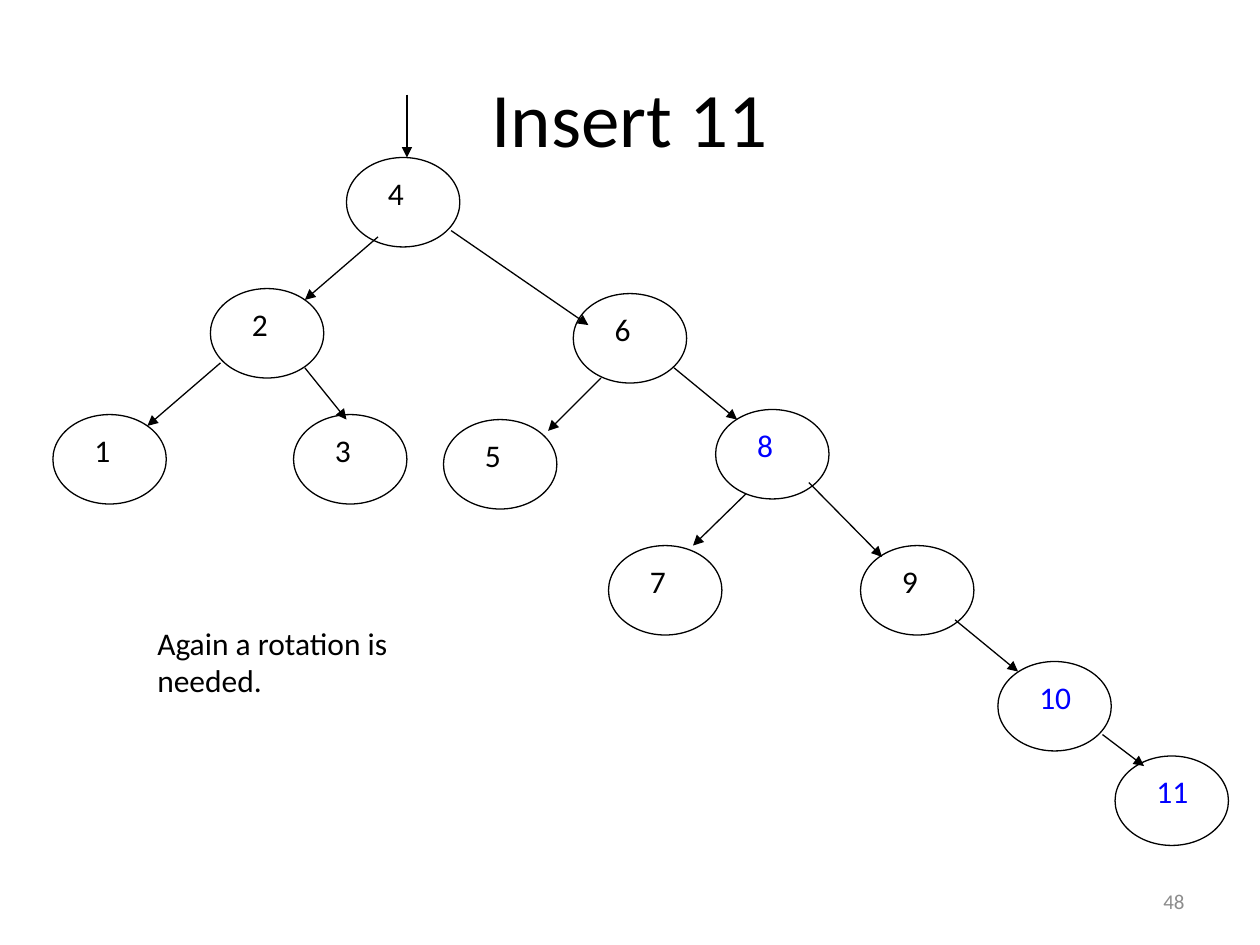
from pptx import Presentation
from pptx.dml.color import RGBColor
from pptx.enum.shapes import MSO_CONNECTOR, MSO_SHAPE
from pptx.enum.text import MSO_ANCHOR, PP_ALIGN
from pptx.oxml.ns import qn
from pptx.util import Inches, Pt
from lxml.etree import SubElement

COLORS = {"ink": "000000", "new": "0000FF", "number": "8C8C8C"}
NODE_WIDTH, NODE_HEIGHT = 0.9, 0.71

# key: (left, top, color)
NODES = {
    4: (2.75, 1.25, "ink"),
    2: (1.67, 2.29, "ink"),
    3: (2.33, 3.29, "ink"),
    6: (4.55, 2.33, "ink"),
    5: (3.52, 3.33, "ink"),
    8: (5.68, 3.25, "new"),
    1: (0.42, 3.29, "ink"),
    7: (4.83, 4.33, "ink"),
    9: (6.83, 4.33, "ink"),
    10: (7.92, 5.25, "new"),
    11: (8.85, 6, "new"),
}

# start x, start y, end x, end y
ARROWS = [
    (3.23, 0.75, 3.23, 1.25),  # root pointer
    (3, 1.88, 2.42, 2.38),
    (3.58, 1.83, 4.67, 2.58),
    (4.77, 3, 4.35, 3.42),
    (5.35, 2.92, 5.85, 3.33),
    (1.75, 2.88, 1.17, 3.38),
    (2.42, 2.92, 2.75, 3.33),
    (5.92, 3.92, 5.5, 4.33),
    (6.42, 3.83, 7, 4.42),
    (7.58, 4.92, 8.08, 5.33),
    (8.75, 5.83, 9.08, 6.08),
]


class TreeSlide:
    font = "Calibri"
    line_width = Pt(0.75)

    def __init__(self, page):
        self.page = page

    def color(self, name):
        return RGBColor.from_string(COLORS[name])

    def set_text(self, frame, text, size, color="ink", align=PP_ALIGN.LEFT, anchor=MSO_ANCHOR.TOP):
        frame.text = text
        frame.word_wrap = True
        frame.vertical_anchor = anchor
        para = frame.paragraphs[0]
        para.alignment = align
        for span in para.runs:
            span.font.name = self.font
            span.font.size = Pt(size)
            span.font.color.rgb = self.color(color)

    def title(self, text, left, top, width, height):
        box = self.page.shapes.title
        box.left, box.top = Inches(left), Inches(top)
        box.width, box.height = Inches(width), Inches(height)
        self.set_text(box.text_frame, text, 44, align=PP_ALIGN.CENTER, anchor=MSO_ANCHOR.MIDDLE)

    def text(self, text, left, top, width, height, size=18, shapes=None, **style):
        if shapes is None:
            shapes = self.page.shapes
        box = shapes.add_textbox(Inches(left), Inches(top), Inches(width), Inches(height))
        self.set_text(box.text_frame, text, size, **style)

    def node(self, key, left, top, color):
        """Group an ellipse with its key."""
        group = self.page.shapes.add_group_shape()
        oval = group.shapes.add_shape(
            MSO_SHAPE.OVAL, Inches(left), Inches(top), Inches(NODE_WIDTH), Inches(NODE_HEIGHT))
        oval.shadow.inherit = False
        oval.fill.background()
        oval.line.color.rgb = self.color("ink")
        oval.line.width = self.line_width
        width = 0.42 if key < 10 else 0.64
        self.text(str(key), left + 0.23, top + 0.08, width, 0.57,
                  shapes=group.shapes, color=color)

    def arrow(self, *ends):
        arrow = self.page.shapes.add_connector(
            MSO_CONNECTOR.STRAIGHT, *(Inches(value) for value in ends))
        arrow.line.color.rgb = self.color("ink")
        arrow.line.width = self.line_width
        properties = arrow.element.spPr
        SubElement(properties.find(qn("a:ln")), qn("a:tailEnd"), type="triangle")
        SubElement(properties, qn("a:effectLst"))


def main():
    deck = Presentation()
    deck.slide_width, deck.slide_height = Inches(10), Inches(7.5)
    slide = TreeSlide(deck.slides.add_slide(deck.slide_layouts[5]))
    slide.title("Insert 11", 0.5, 0.3, 9, 1.25)
    for key, place in NODES.items():
        slide.node(key, *place)
    for ends in ARROWS:
        slide.arrow(*ends)
    slide.text("Again a rotation is\vneeded.", 1.15, 4.9, 3.32, 1.03)
    slide.text("48", 7.17, 6.95, 2.33, 0.4, size=12, color="number",
               align=PP_ALIGN.RIGHT, anchor=MSO_ANCHOR.MIDDLE)
    deck.save("out.pptx")


if __name__ == "__main__":
    main()
